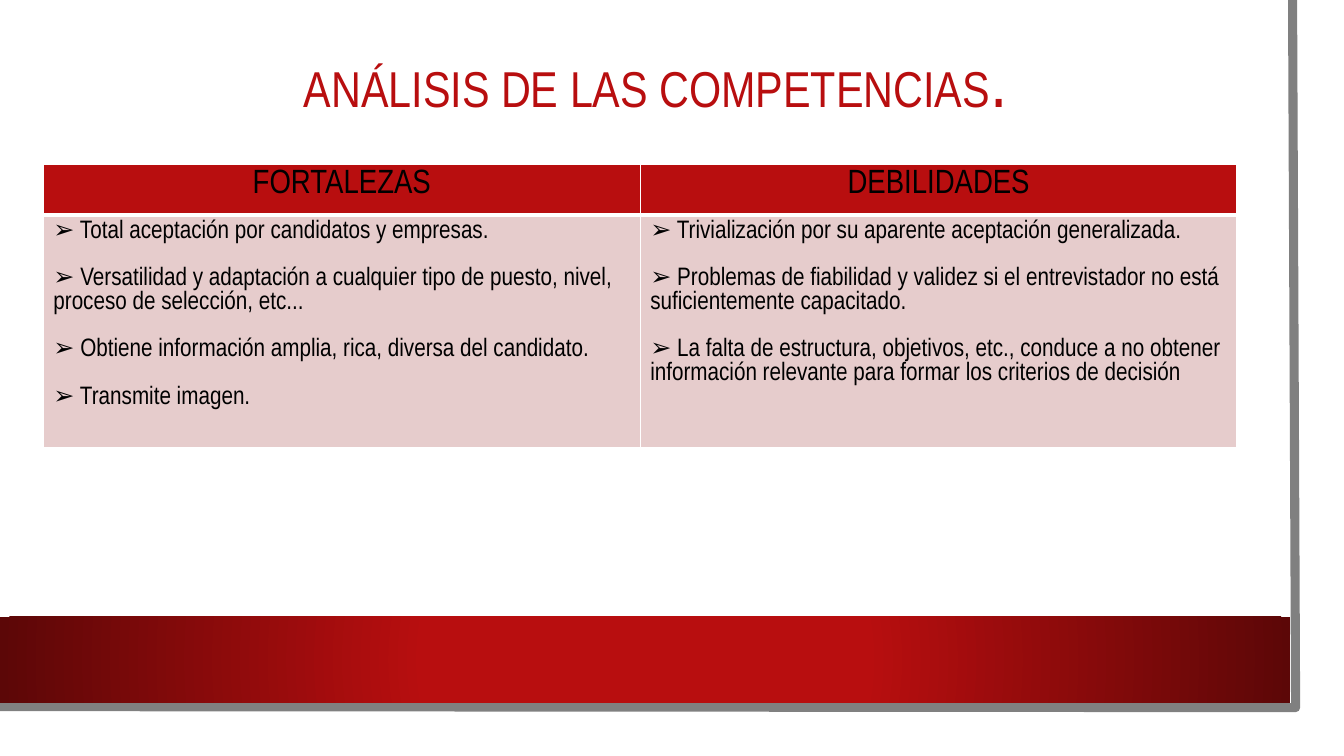
from lxml import etree
from pptx import Presentation
from pptx.dml.color import RGBColor
from pptx.enum.shapes import MSO_SHAPE
from pptx.enum.text import MSO_ANCHOR, PP_ALIGN
from pptx.oxml.ns import qn
from pptx.util import Emu, Pt

RECT = MSO_SHAPE.RECTANGLE
MIDDLE = MSO_ANCHOR.MIDDLE
LEFT, CENTER = PP_ALIGN.LEFT, PP_ALIGN.CENTER

PX = 9144
FONT = "Arial Narrow"
COLORS = {
    "white": "FFFFFF",
    "black": "000000",
    "red": "B80E0F",
    "dark_red": "5C0707",
    "pink": "E6CCCC",
    "gray": "808080",
}
COLUMNS = {
    "FORTALEZAS": [
        "➢ Total aceptación por candidatos y empresas.",
        "➢ Versatilidad y adaptación a cualquier tipo de puesto, nivel, proceso de selección, etc...",
        "➢ Obtiene información amplia, rica, diversa del candidato.",
        "➢ Transmite imagen.",
    ],
    "DEBILIDADES": [
        "➢ Trivialización por su aparente aceptación generalizada.",
        "➢ Problemas de fiabilidad y validez si el entrevistador no está suficientemente capacitado.",
        "➢ La falta de estructura, objetivos, etc., conduce a no obtener información relevante "
        "para formar los criterios de decisión",
    ],
}


def px(n):
    """Turn pixels into EMU."""
    return Emu(n * PX)


def rgb(name):
    """Look up a named colour."""
    return RGBColor.from_string(COLORS[name])


def add_text(p, text, size=18, color="black", align=LEFT, before=0, spacing=None):
    """Add a formatted run to a paragraph."""
    p.alignment = align
    p.space_before = Pt(before)
    if spacing:
        p.line_spacing = spacing
    r = p.add_run()
    r.text = text
    r.font.name = FONT
    r.font.size = Pt(size)
    r.font.bold = False
    r.font.color.rgb = rgb(color)


def add_rect(s, x, y, w, h, color):
    """Add a plain filled rectangle."""
    sp = s.shapes.add_shape(RECT, px(x), px(y), px(w), px(h))
    sp.shadow.inherit = False
    sp.fill.solid()
    sp.fill.fore_color.rgb = rgb(color)
    sp.line.fill.background()
    return sp


def add_edge(s, points, color, width):
    """Add an open, unfilled outline through the points."""
    builder = s.shapes.build_freeform(*points[0], scale=PX)
    builder.add_line_segments(points[1:], close=False)
    sp = builder.convert_to_shape()
    sp.shadow.inherit = False
    sp.fill.background()
    sp.line.color.rgb = rgb(color)
    sp.line.width = Pt(width)


def set_radial(sp, *stops):
    """Fill a shape with a gradient that runs out from its centre."""
    sp.fill.gradient()
    for stop, (position, color) in zip(sp.fill.gradient_stops, stops):
        stop.position = position
        stop.color.rgb = rgb(color)
    grad = sp._element.spPr.find(qn("a:gradFill"))
    grad.remove(grad.find(qn("a:lin")))
    radial = etree.SubElement(grad, qn("a:path"), path="circle")
    etree.SubElement(radial, qn("a:fillToRect"), dict.fromkeys("ltrb", "50000"))


def add_title(s, x, y, w, h):
    """Add the slide title with its larger full stop."""
    tf = s.shapes.add_textbox(px(x), px(y), px(w), px(h)).text_frame
    tf.word_wrap = True
    tf.vertical_anchor = MIDDLE
    p = tf.paragraphs[0]
    for text, size in (("ANÁLISIS DE LAS COMPETENCIAS", 36), (".", 54)):
        add_text(p, text, size=size, color="red", align=CENTER, spacing=0.9)


def style_cell(cell, color, bottom=1):
    """Give a cell white borders and a solid fill."""
    tc_pr = cell._tc.get_or_add_tcPr()
    for side in "LRTB":
        width = Pt(bottom if side == "B" else 1)
        ln = etree.SubElement(tc_pr, qn(f"a:ln{side}"), w=str(width))
        fill = etree.SubElement(ln, qn("a:solidFill"))
        etree.SubElement(fill, qn("a:srgbClr"), val=COLORS["white"])
    cell.fill.solid()
    cell.fill.fore_color.rgb = rgb(color)


def add_columns(s, x, y, w, heights):
    """Add the table of headed lists."""
    frame = s.shapes.add_table(2, len(COLUMNS), px(x), px(y), px(w), px(sum(heights)))
    table = frame.table
    table.first_row = table.horz_banding = False
    for row, height in zip(table.rows, heights):
        row.height = px(height)
    for i, (heading, items) in enumerate(COLUMNS.items()):
        head, body = table.cell(0, i), table.cell(1, i)
        style_cell(head, "red", bottom=3)
        style_cell(body, "pink")
        add_text(head.text_frame.paragraphs[0], heading, size=24, align=CENTER)
        tf = body.text_frame
        for n, item in enumerate(items):
            p = tf.add_paragraph() if n else tf.paragraphs[0]
            add_text(p, item, before=17 if n else 0)


def main():
    """Build and save the slide."""
    prs = Presentation()
    prs.slide_width, prs.slide_height = px(1333), px(750)
    s = prs.slides.add_slide(prs.slide_layouts[6])
    add_rect(s, 0, 0, 1310, 727, "white")
    add_edge(s, [(1282, 0), (1285, 702), (-3, 701)], "gray", 6.5)
    band = add_rect(s, 0, 612, 1280, 85, "red")
    set_radial(band, (0.34, "red"), (1, "dark_red"))
    add_title(s, 82, 19, 1137, 126)
    add_columns(s, 43, 163, 1184, (41, 198))
    prs.save("out.pptx")


if __name__ == "__main__":
    main()
